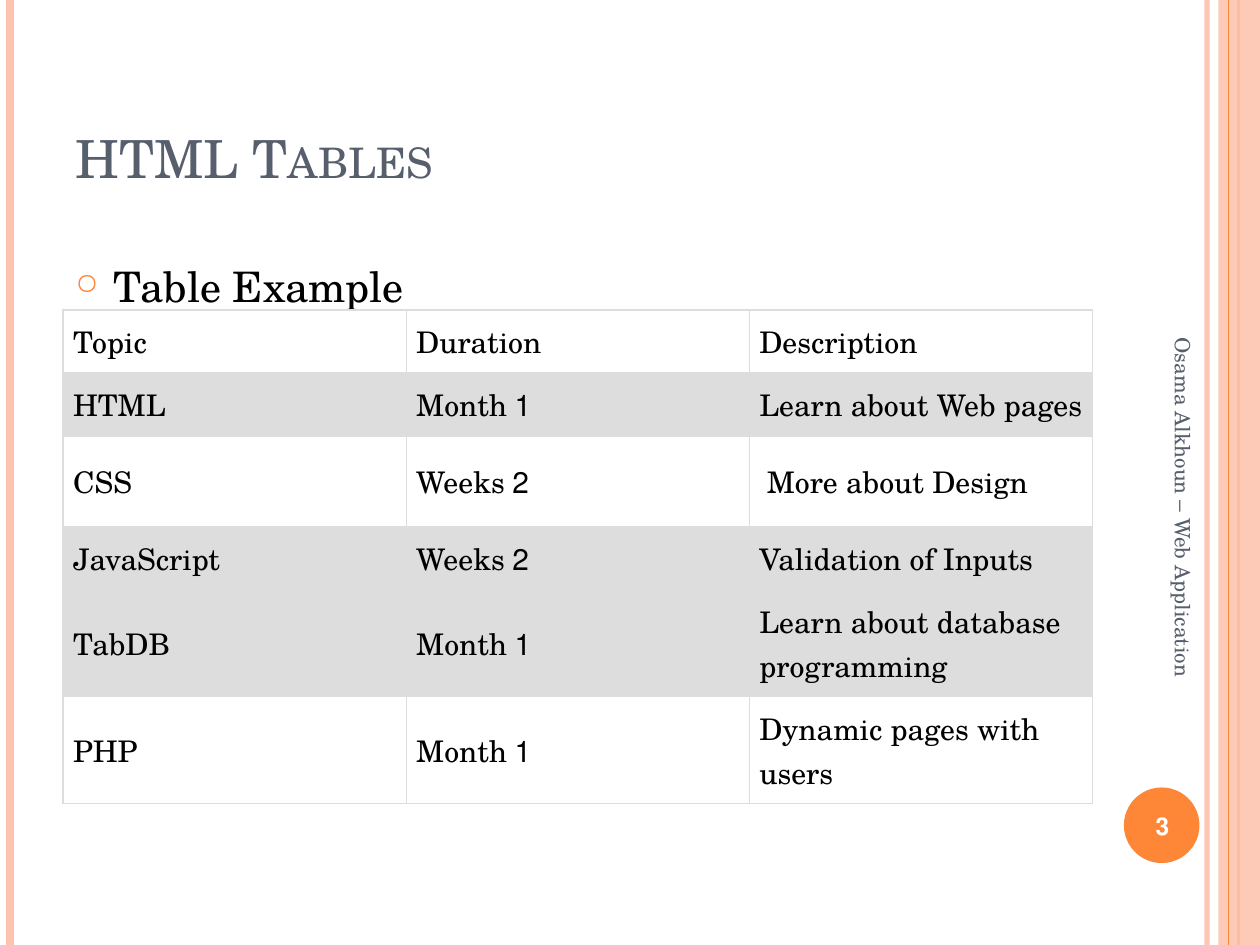
"""Build the HTML Tables slide with its course table and striped side borders."""
import pptx
import pptx.util
import pptx.dml.color
import pptx.enum.shapes
import pptx.enum.text
import pptx.oxml
import lxml.etree

Inches = pptx.util.Inches
Pt = pptx.util.Pt
ANCHOR = pptx.enum.text.MSO_ANCHOR
ALIGN = pptx.enum.text.PP_ALIGN
A = "{http://schemas.openxmlformats.org/drawingml/2006/main}"


def paint(target, color, alpha=100):
    target.solid()
    target.fore_color.rgb = pptx.dml.color.RGBColor.from_string(color)
    if alpha < 100:
        choice = next(target._xPr.iter(A + "srgbClr"))
        lxml.etree.SubElement(choice, A + "alpha", val=str(alpha * 1000))


def write(frame, text, size, color, bold=False, anchor=ANCHOR.MIDDLE, align=ALIGN.LEFT, rtl=True, caps=None):
    frame.word_wrap = True
    frame.vertical_anchor = anchor
    paragraph = frame.paragraphs[0]
    paragraph.alignment = align
    if rtl:
        paragraph._p.get_or_add_pPr().set("rtl", "1")
    run = paragraph.add_run()
    run.text = text
    run.font.name = "TeX Gyre Schola"
    run.font.size = Pt(size)
    run.font.bold = bold
    paint(run.font.fill, color)
    if caps:
        run.font._element.set("cap", caps)
    return paragraph


deck = pptx.Presentation()
deck.slide_width, deck.slide_height = Inches(10), Inches(7.5)
slide = deck.slides.add_slide(deck.slide_layouts[6])
shapes = slide.shapes

badge = shapes.add_shape(pptx.enum.shapes.MSO_SHAPE.OVAL, Inches(8.92), Inches(6.25), Inches(0.6), Inches(0.6))
band = shapes.add_shape(pptx.enum.shapes.MSO_SHAPE.RECTANGLE, Inches(9.67), 0, Inches(0.33), Inches(7.5))
for panel, color, alpha in ((badge, "FE8637", 100), (band, "FEC3AE", 87)):
    panel.shadow.inherit = False
    paint(panel.fill, color, alpha)
    panel.line.fill.background()

stripes = [(9.58, "FEC3AE", 3, 93), (0.08, "FEC3AE", 4.5, 100),
           (9.83, "FE8637", 1.5, 100), (9.75, "FE8637", 0.75, 100)]
for x, color, width, alpha in stripes:
    stripe = shapes.add_connector(pptx.enum.shapes.MSO_CONNECTOR.STRAIGHT, Inches(x), 0, Inches(x), Inches(7.5))
    stripe.line.width = Pt(width)
    paint(stripe.line.fill, color, alpha)
    lxml.etree.SubElement(stripe._element.spPr, A + "effectLst")
    if x == 9.83:
        band._element.addprevious(stripe._element)

title = shapes.add_textbox(Inches(0.5), Inches(0.3), Inches(8.17), Inches(1.25))
write(title.text_frame, "HTML\u00a0Tables", 30, "575F6D", anchor=ANCHOR.BOTTOM, caps="small")

body = shapes.add_textbox(Inches(0.5), Inches(1.62), Inches(8.17), Inches(5.46))
bullet = write(body.text_frame, "Table Example", 24, "000000", anchor=ANCHOR.TOP, rtl=False)
bullet.line_spacing = 2.0
bullet.space_before = Pt(6)
bullet_format = bullet._p.get_or_add_pPr()
bullet_format.set("marL", str(Inches(0.3)))
bullet_format.set("indent", str(Inches(-0.3)))
bullet_color = lxml.etree.SubElement(bullet_format, A + "buClr")
lxml.etree.SubElement(bullet_color, A + "srgbClr", val="FE8637")
lxml.etree.SubElement(bullet_format, A + "buSzPct", val="70000")
lxml.etree.SubElement(bullet_format, A + "buChar", char="\u25cb")

footer = shapes.add_textbox(Inches(7.64), Inches(4.09), Inches(3.5), Inches(0.4))
footer.rotation = 90
write(footer.text_frame, "Osama Alkhoun \u2013 Web Application ", 12, "575F6D")

number = shapes.add_textbox(Inches(8.89), Inches(6.27), Inches(0.67), Inches(0.57))
write(number.text_frame, "3", 14, "FFFFFF", bold=True, align=ALIGN.CENTER)

courses = [
    (0.5, None, ("Topic", "Duration", "Description")),
    (0.5, "DDDDDD", ("HTML", "1 Month", "Learn about Web pages")),
    (0.72, None, ("CSS", "2 Weeks", "More about Design ")),
    (0.5, "DDDDDD", ("JavaScript", "2 Weeks", "Validation of Inputs")),
    (0.85, "DDDDDD", ("TabDB", "1 Month", "Learn about database programming")),
    (0.85, None, ("PHP", "1 Month", "Dynamic pages with users")),
]
table_height = sum(height for height, shade, texts in courses)
table = shapes.add_table(len(courses), 3, Inches(0.5), Inches(2.46), Inches(8.17), Inches(table_height)).table
table.first_row = table.horz_banding = False
for column in table.columns:
    column.width = Inches(8.17 / 3)
for row, (height, shade, texts) in zip(table.rows, courses):
    row.height = Inches(height)
    for cell, text in zip(row.cells, texts):
        cell.margin_left = cell.margin_top = cell.margin_bottom = Inches(0.08)
        cell.margin_right = Inches(0.05)
        write(cell.text_frame, text, 17, "000000")
        cell.vertical_anchor = ANCHOR.MIDDLE
        cell_format = cell._tc.get_or_add_tcPr()
        for side in ("lnL", "lnR", "lnT", "lnB"):
            border = lxml.etree.SubElement(cell_format, A + side, w=str(Pt(0.75)))
            border_fill = lxml.etree.SubElement(border, A + "solidFill")
            lxml.etree.SubElement(border_fill, A + "srgbClr", val="DDDDDD")
        if shade:
            paint(cell.fill, shade)
        else:
            cell.fill.background()

deck.save("out.pptx")
